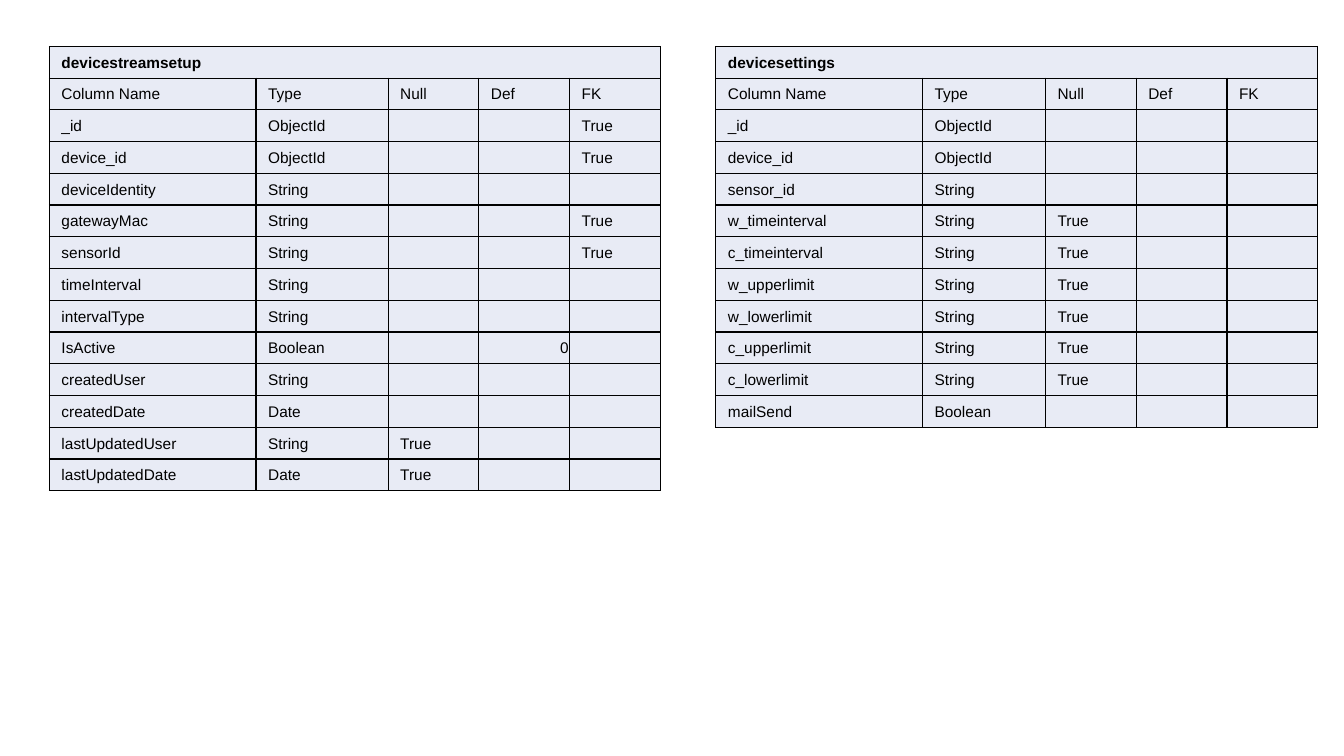
from lxml import etree
from pptx import Presentation
from pptx.dml.color import RGBColor
from pptx.enum.text import MSO_ANCHOR, PP_ALIGN
from pptx.oxml.ns import qn
from pptx.util import Inches, Pt

MIDDLE = MSO_ANCHOR.MIDDLE
LEFT, RIGHT = PP_ALIGN.LEFT, PP_ALIGN.RIGHT

HEADINGS = ("Column Name", "Type", "Null", "Def", "FK")
STREAM_SETUP = [
    ("_id", "ObjectId", "", "", "True"),
    ("device_id", "ObjectId", "", "", "True"),
    ("deviceIdentity", "String", "", "", ""),
    ("gatewayMac", "String", "", "", "True"),
    ("sensorId", "String", "", "", "True"),
    ("timeInterval", "String", "", "", ""),
    ("intervalType", "String", "", "", ""),
    ("IsActive", "Boolean", "", "0", ""),
    ("createdUser", "String", "", "", ""),
    ("createdDate", "Date", "", "", ""),
    ("lastUpdatedUser", "String", "True", "", ""),
    ("lastUpdatedDate", "Date", "True", "", ""),
]
SETTINGS = [
    ("_id", "ObjectId", "", "", ""),
    ("device_id", "ObjectId", "", "", ""),
    ("sensor_id", "String", "", "", ""),
    ("w_timeinterval", "String", "True", "", ""),
    ("c_timeinterval", "String", "True", "", ""),
    ("w_upperlimit", "String", "True", "", ""),
    ("w_lowerlimit", "String", "True", "", ""),
    ("c_upperlimit", "String", "True", "", ""),
    ("c_lowerlimit", "String", "True", "", ""),
    ("mailSend", "Boolean", "", "", ""),
]


def color(hex_value):
    return RGBColor.from_string(hex_value)


def write(frame, text, font, size, ink, bold=False, align=LEFT):
    """Fill a text frame; an empty one still gets its line height."""
    paragraph = frame.paragraphs[0]
    paragraph.alignment = align
    if not text:
        end = etree.SubElement(paragraph._p, qn("a:endParaRPr"))
        end.set("sz", str(size * 100))
        return
    run = paragraph.add_run()
    run.text = text
    run.font.name = font
    run.font.size = Pt(size)
    run.font.bold = bold
    run.font.color.rgb = color(ink)


class SchemaSlide:
    font, size, ink = "Arial", 11, "000000"
    cell_fill, border = "E8EBF5", "000000"
    top = Inches(0.46)
    row_height = Inches(3.78) // 12

    def __init__(self, deck):
        self.slide = deck.slides.add_slide(deck.slide_layouts[6])

    def outline(self, cell):
        """Draw a thin line on all four sides of a cell."""
        properties = cell._tc.get_or_add_tcPr()
        for side in ("lnL", "lnR", "lnT", "lnB"):
            line = etree.SubElement(properties, qn(f"a:{side}"), w=str(Pt(1)))
            solid = etree.SubElement(line, qn("a:solidFill"))
            etree.SubElement(solid, qn("a:srgbClr"), val=self.border)

    def cell(self, cell, text, **style):
        self.outline(cell)
        cell.fill.solid()
        cell.fill.fore_color.rgb = color(self.cell_fill)
        cell.vertical_anchor = MIDDLE
        cell.margin_left = Inches(0.12)
        cell.margin_right = cell.margin_top = Inches(0.01)
        cell.margin_bottom = 0
        write(cell.text_frame, text, self.font, self.size, self.ink, **style)

    def schema(self, title, fields, left, widths):
        """Add a table with a title row, a heading row and one row per field."""
        rows = [(title, "", "", "", ""), HEADINGS, *fields]
        table = self.slide.shapes.add_table(
            len(rows), len(widths), Inches(left), self.top,
            Inches(sum(widths)), self.row_height * len(rows)).table
        table.first_row = table.horz_banding = False
        for column, width in zip(table.columns, widths):
            column.width = Inches(width)
        for r, values in enumerate(rows):
            table.rows[r].height = self.row_height
            for c, value in enumerate(values):
                self.cell(table.cell(r, c), value, bold=r == 0,
                          align=RIGHT if value.isdigit() else LEFT)
        table.cell(0, 0).merge(table.cell(0, len(widths) - 1))


def main():
    deck = Presentation()
    deck.slide_width, deck.slide_height = Inches(13.33), Inches(7.5)
    page = SchemaSlide(deck)
    page.schema("devicesettings", SETTINGS, 7.1, (2.05, 1.22, 0.9, 0.9, 0.9))
    page.schema("devicestreamsetup", STREAM_SETUP, 0.49, (2.05, 1.31, 0.9, 0.9, 0.9))
    deck.save("out.pptx")


if __name__ == "__main__":
    main()
